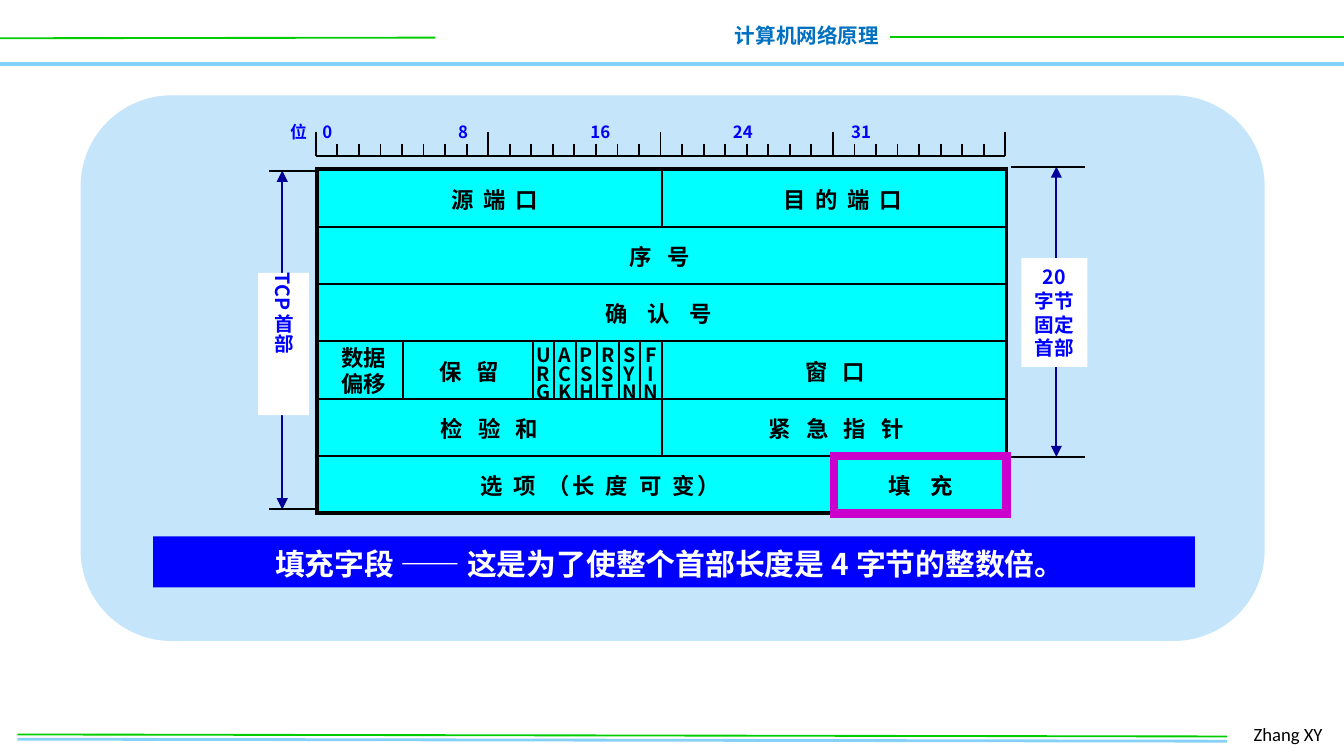
from collections import namedtuple

from lxml import etree
from pptx import Presentation
from pptx.dml import color
from pptx.enum import shapes, text
from pptx.oxml import ns
from pptx.util import Inches, Pt

# The slide is a grid of 100 columns by 56.25 rows, each a tenth of an inch
CELL = Inches(0.1)
COLUMNS, ROWS = 100, 56.25
HAN = "Noto Sans CJK SC"
COLORS = {
    "black": "000000", "white": "FFFFFF", "green": "00CC00", "sky": "85D1F7",
    "title": "0070C0", "panel": "C5E5FB", "field": "00FFFF", "blue": "0000FF",
    "arrow": "000099", "highlight": "CC00CC",
}
Box = namedtuple("Box", "left top width height")
Style = namedtuple("Style", "size color font bold", defaults=("black", HAN, True))
LEFT, CENTER, RIGHT = text.PP_ALIGN.LEFT, text.PP_ALIGN.CENTER, text.PP_ALIGN.RIGHT

# Field: row, first bit, end bit, bit the text is centred on, letter spacing, lines
FIELDS = [
    (0, 0, 16, 8.25, 1.3, ["源 端 口"]),
    (0, 16, 32, 24.4, 1.3, ["目 的 端 口"]),
    (1, 0, 32, 15.9, 2.7, ["序 号"]),
    (2, 0, 32, 15.85, 4, ["确 认 号"]),
    (3, 0, 4, 2.15, 0, ["数据", "偏移"]),
    (3, 4, 10, 7.05, 2.7, ["保 留"]),
    (3, 16, 32, 24.05, 2.7, ["窗 口"]),
    (4, 0, 16, 8, 2.7, ["检 验 和"]),
    (4, 16, 32, 24.1, 2.7, ["紧 急 指 针"]),
    (5, 0, 24, 13.15, 1.6, ["选 项 （长 度 可 变）"]),
    (5, 24, 32, 28, 4, ["填 充"]),
]
FLAGS = ["URG", "ACK", "PSH", "RST", "SYN", "FIN"]
FIELD_ROWS, BITS = 6, 32


def rgb(name):
    return color.RGBColor.from_string(COLORS[name])


def cells(*lengths):
    return [round(length * CELL) for length in lengths]


def add_line(page, start, end, tint="black", width=1, arrows=False):
    line = page.shapes.add_connector(
        shapes.MSO_CONNECTOR.STRAIGHT, *cells(*start, *end))
    line.line.color.rgb = rgb(tint)
    line.line.width = Pt(width)
    properties = line._element.spPr
    if arrows:
        for tag in ("a:headEnd", "a:tailEnd"):
            etree.SubElement(properties.find(ns.qn("a:ln")), ns.qn(tag), type="triangle")
    etree.SubElement(properties, ns.qn("a:effectLst"))


def add_block(page, box, fill=None, outline=None, width=1,
              preset=shapes.MSO_SHAPE.RECTANGLE):
    block = page.shapes.add_shape(preset, *cells(*box))
    block.shadow.inherit = False
    if fill:
        block.fill.solid()
        block.fill.fore_color.rgb = rgb(fill)
    else:
        block.fill.background()
    if outline:
        block.line.color.rgb = rgb(outline)
        block.line.width = Pt(width)
        edge = block._element.spPr.find(ns.qn("a:ln"))
        etree.SubElement(edge, ns.qn("a:miter"), lim="800000")
    else:
        block.line.fill.background()
    return block


def write(shape, lines, style, align=CENTER, spacing=None, tracking=0, wrap=False):
    frame = shape.text_frame
    frame.word_wrap = wrap
    frame.vertical_anchor = text.MSO_ANCHOR.MIDDLE
    for index, line in enumerate(lines):
        para = frame.add_paragraph() if index else frame.paragraphs[0]
        para.alignment = align
        if spacing:
            para.line_spacing = spacing
        span = para.add_run()
        span.text = line
        span.font.size = Pt(style.size)
        span.font.bold = style.bold
        span.font.name = style.font
        span.font.color.rgb = rgb(style.color)
        properties = span._r.get_or_add_rPr()
        etree.SubElement(properties, ns.qn("a:ea"), typeface=style.font)
        if tracking:
            properties.set("spc", str(round(tracking * 100)))
    return frame


def add_text(page, box, lines, style, **layout):
    return write(page.shapes.add_textbox(*cells(*box)), lines, style, **layout)


def add_page_frame(page, box):
    right, bottom = box.left + box.width, box.top + box.height
    # Top rules and course title
    add_line(page, (box.left, box.top + 4.75), (right, box.top + 4.75), "sky", 2)
    add_line(page, (box.left, box.top + 2.85), (box.left + 32.4, box.top + 2.8), "green")
    add_text(page, Box(right - 46.4, box.top + 1.2, 12.8, 2.9), ["计算机网络原理"],
             Style(11, "title"), align=RIGHT)
    add_line(page, (right - 33.8, box.top + 2.75), (right, box.top + 2.75), "green")
    # Bottom rules and author
    add_line(page, (box.left + 1.3, bottom - 1.25), (right - 8.7, bottom - 1.1), "sky", 1.5)
    add_text(page, Box(right - 7.7, bottom - 2.95, 7.4, 2.7), ["Zhang XY"],
             Style(10, font="Calibri", bold=False), align=LEFT)
    add_line(page, (box.left + 1.3, bottom - 1.6), (right - 8.7, bottom - 1.45), "green")


def add_ruler(page, box):
    bottom = box.top + box.height
    add_line(page, (box.left, bottom), (box.left + box.width, bottom))
    for bit in range(BITS + 1):
        x = box.left + box.width * bit / BITS
        tick = box.height if bit % 8 == 0 else box.height / 2
        add_line(page, (x, bottom - tick), (x, bottom))
    # Bit numbers on tab stops
    frame = add_text(page, Box(box.left - 2.9, box.top - 1.25, 55.8, 2.5),
                     ["位\t0\t8\t16\t24\t31"], Style(9, "blue"), align=LEFT, wrap=True)
    properties = frame.paragraphs[0]._p.get_or_add_pPr()
    stops = etree.SubElement(properties, ns.qn("a:tabLst"))
    for stop in cells(2.4, 12.5, 22.35, 32.95, 41.75):
        etree.SubElement(stops, ns.qn("a:tab"), pos=str(stop), algn="l")


def add_segment(page, box):
    row_height, bit_width = box.height / FIELD_ROWS, box.width / BITS
    add_block(page, box, "field", "black", 2)

    def divide(row, bit):
        x, y = box.left + bit * bit_width, box.top + row * row_height
        add_line(page, (x, y), (x, y + row_height))

    # Row rules
    for row in range(1, FIELD_ROWS):
        y = box.top + row * row_height
        add_line(page, (box.left, y), (box.left + box.width, y))
    # Named fields
    for row, first, end, middle, tracking, lines in FIELDS:
        if first:
            divide(row, first)
        width = (end - first) * bit_width
        add_text(page, Box(box.left + middle * bit_width - width / 2,
                           box.top + row * row_height + 0.1, width, row_height),
                 lines, Style(12), tracking=tracking,
                 spacing=Pt(14) if len(lines) > 1 else None)
    # One-bit flags, one letter a line
    for bit, flag in enumerate(FLAGS, start=10):
        divide(3, bit)
        add_text(page, Box(box.left + (bit - 0.5) * bit_width,
                           box.top + 3.1 * row_height, 2 * bit_width, row_height),
                 flag, Style(10.5), spacing=Pt(9.9))
    # Highlighted padding field
    add_block(page, Box(box.left + 24 * bit_width, box.top + 5 * row_height,
                        8 * bit_width, row_height), outline="highlight", width=4.5)


def add_extent(page, box, arrow_x, label_box, lines, vertical=False):
    bottom = box.top + box.height
    add_line(page, (arrow_x, box.top), (arrow_x, bottom), "arrow", arrows=True)
    label = add_block(page, label_box, "white")
    frame = write(label, lines, Style(10.5, "blue"), wrap=vertical,
                  align=LEFT if vertical else CENTER,
                  spacing=None if vertical else Pt(12.7))
    if vertical:
        frame._txBody.bodyPr.set("vert", "eaVert")
        frame.margin_top = 0
    for y in (box.top, bottom):
        add_line(page, (box.left, y), (box.left + box.width, y))


def add_banner(page, box):
    frame = write(add_block(page, box, "blue"),
                  ["填充字段 —— 这是为了使整个首部长度是 4 字节的整数倍。"],
                  Style(16, "white"), wrap=True, spacing=1.1)
    frame.margin_right = Inches(0.16)


def main():
    deck = Presentation()
    deck.slide_width, deck.slide_height = cells(COLUMNS, ROWS)
    page = deck.slides.add_slide(deck.slide_layouts[6])
    segment = Box(23.6, 12.6, 51.3, 25.6)
    add_page_frame(page, Box(0, 0, COLUMNS, ROWS))
    add_block(page, Box(6, 7.1, 88.1, 40.6), "panel",
              preset=shapes.MSO_SHAPE.ROUNDED_RECTANGLE)
    add_extent(page, Box(20, 12.7, 3.6, 25.2), 21, Box(19.2, 20.3, 3.8, 10.6),
               ["TCP 首部"], vertical=True)
    add_extent(page, Box(75.2, 12.4, 5.5, 21.6), 78.6, Box(76, 19.2, 4.9, 8.1),
               ["20", "字节", "固定", "首部"])
    add_segment(page, segment)
    add_banner(page, Box(11.4, 39.9, 77.5, 3.8))
    add_ruler(page, Box(23.5, 9.8, segment.width, 1.8))
    deck.save("out.pptx")


if __name__ == "__main__":
    main()
